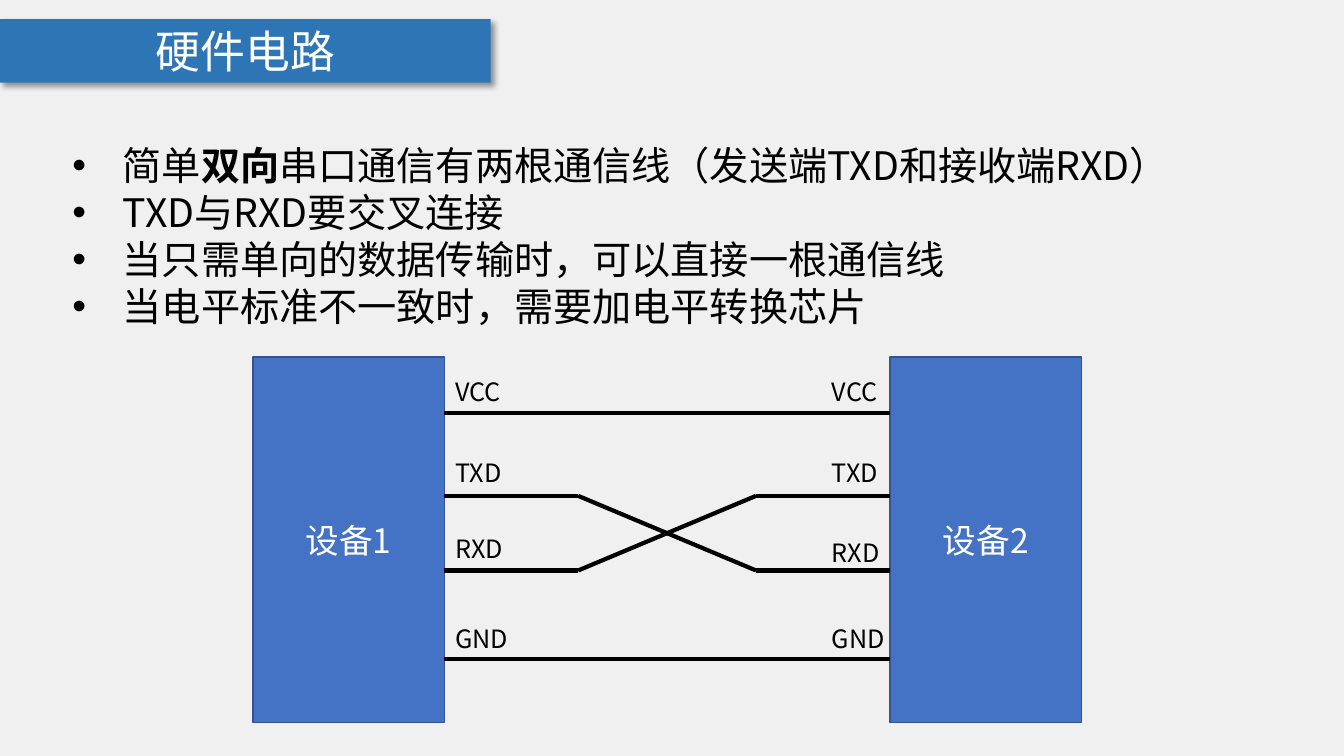
from lxml import etree
from pptx import Presentation
from pptx.dml.color import RGBColor as Rgb
from pptx.enum.shapes import MSO_CONNECTOR as Conn, MSO_SHAPE as Shape
from pptx.enum.text import MSO_ANCHOR as Anchor, PP_ALIGN as Align
from pptx.oxml import parse_xml
from pptx.oxml.ns import qn
from pptx.util import Pt

# Content
TITLE = "硬件电路"
BULLETS = [  # runs of (text, bold)
    [("简单", False), ("双向", True),
     ("串口通信有两根通信线（发送端TXD和接收端RXD）", False)],
    [("TXD与RXD要交叉连接", False)],
    [("当只需单向的数据传输时，可以直接一根通信线", False)],
    [("当电平标准不一致时，需要加电平转换芯片", False)],
]
DEVICES = ["设备1", "设备2"]
PINS = [  # name, wire height, left label top, right label top
    ("VCC", 295.2, 265, 265),
    ("TXD", 354.2, 323.3, 323.3),
    ("RXD", 407.5, 377.3, 380.2),
    ("GND", 470.9, 441.4, 441.4),
]
CROSSED = {"TXD": "RXD", "RXD": "TXD"}
FONT = "Noto Sans CJK SC"
COLORS = {"back": "F0F0F0", "title": "2E75B6", "device": "4472C4",
          "edge": "325491", "white": "FFFFFF", "black": "000000"}
NS = 'xmlns:a="http://schemas.openxmlformats.org/drawingml/2006/main"'
SHADOW = (f'<a:effectLst {NS}><a:outerShdw blurRad="50800" dist="38100" '
          'dir="2700000" algn="tl" rotWithShape="0"><a:srgbClr val="000000">'
          '<a:alpha val="40000"/></a:srgbClr></a:outerShdw></a:effectLst>')

# Layout
DEV_X, DEV_Y, DEV_W, DEV_H = 180.7, 254.9, 136.8, 261.4
WIRE_L, WIRE_R = DEV_X + DEV_W, 635.8
BEND_L, BEND_R = 413, 540
LABEL_L, LABEL_R, LABEL_W, LABEL_H = 318.2, 587.2, 60, 28.8


def color(name):
    return Rgb.from_string(COLORS[name])


def style(para, size, tint):
    font = para.font
    font.size, font.name = Pt(size), FONT
    font.color.rgb = color(tint)
    props = para._p.pPr.find(qn("a:defRPr"))
    etree.SubElement(props, qn("a:ea")).set("typeface", FONT)


def add_box(slide, text, x, y, w, h, fill, size):
    box = slide.shapes.add_shape(Shape.RECTANGLE, Pt(x), Pt(y), Pt(w), Pt(h))
    box.shadow.inherit = False
    box.fill.solid()
    box.fill.fore_color.rgb = color(fill)
    box.line.fill.background()
    frame = box.text_frame
    frame.vertical_anchor = Anchor.MIDDLE
    para = frame.paragraphs[0]
    para.text, para.alignment = text, Align.CENTER
    style(para, size, "white")
    return box


def add_text(slide, x, y, w, h):
    box = slide.shapes.add_textbox(Pt(x), Pt(y), Pt(w), Pt(h))
    box.text_frame.word_wrap = True
    return box.text_frame


def add_wire(slide, x1, y1, x2, y2):
    wire = slide.shapes.add_connector(
        Conn.STRAIGHT, Pt(x1), Pt(y1), Pt(x2), Pt(y2))
    wire.line.color.rgb = color("black")
    wire.line.width = Pt(3)
    etree.SubElement(wire._element.spPr, qn("a:effectLst"))


def main():
    deck = Presentation()
    deck.slide_width, deck.slide_height = Pt(960), Pt(540)
    slide = deck.slides.add_slide(deck.slide_layouts[6])
    slide.background.fill.solid()
    slide.background.fill.fore_color.rgb = color("back")

    # Title bar
    bar = add_box(slide, TITLE, 0, 13.7, 350.6, 45.4, "title", 32)
    props = bar._element.spPr
    props.replace(props.find(qn("a:effectLst")), parse_xml(SHADOW))

    # Bullets
    frame = add_text(slide, 44.6, 97.2, 869.8, 143.3)
    for i, runs in enumerate(BULLETS):
        para = frame.add_paragraph() if i else frame.paragraphs[0]
        props = para._p.get_or_add_pPr()
        props.set("marL", str(Pt(36)))
        props.set("indent", str(-Pt(36)))
        etree.SubElement(props, qn("a:buFont")).set("typeface", "Arial")
        etree.SubElement(props, qn("a:buChar")).set("char", "•")
        for text, bold in runs:
            run = para.add_run()
            run.text = text
            if bold:
                run.font.bold = True
        style(para, 28, "black")

    # Devices
    for name, x in zip(DEVICES, (DEV_X, WIRE_R)):
        box = add_box(slide, name, x, DEV_Y, DEV_W, DEV_H, "device", 24)
        box.line.color.rgb = color("edge")
        box.line.width = Pt(1)

    # Wires, with the two data lines crossing
    level = {name: y for name, y, *_ in PINS}
    for name, y in level.items():
        if name in CROSSED:
            add_wire(slide, WIRE_L, y, BEND_L, y)
            add_wire(slide, BEND_L, y, BEND_R, level[CROSSED[name]])
            add_wire(slide, BEND_R, y, WIRE_R, y)
        else:
            add_wire(slide, WIRE_L, y, WIRE_R, y)

    # Pin labels
    for name, _, *tops in PINS:
        for x, y in zip((LABEL_L, LABEL_R), tops):
            para = add_text(slide, x, y, LABEL_W, LABEL_H).paragraphs[0]
            para.text = name
            style(para, 18, "black")

    deck.save("out.pptx")


if __name__ == "__main__":
    main()
